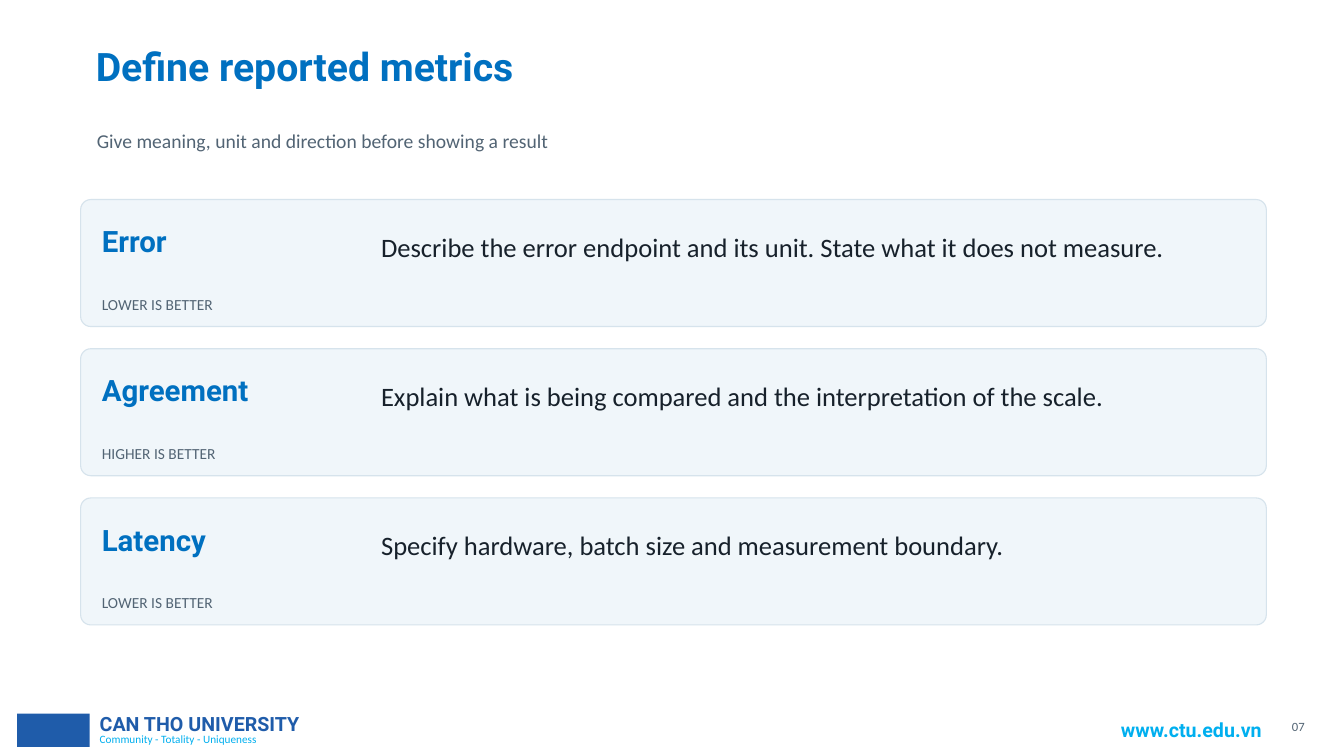
"""Build the slide that defines the reported metrics."""
import pptx
import pptx.dml.color
import pptx.enum.shapes
import pptx.enum.text
import pptx.util

Inches = pptx.util.Inches
ALIGN = pptx.enum.text.PP_ALIGN
SHAPES = pptx.enum.shapes.MSO_SHAPE
BLUE, GREY, INK = "0070C0", "526474", "17212B"
NAVY, CYAN = "1F5CAA", "00AFEF"


def color(value):
    return pptx.dml.color.RGBColor.from_string(value)


def add_text(left, top, width, height, text, size, font, fill, bold=False,
             align=ALIGN.LEFT, inset=(0.01, 0.01), spacing=1.13, wrap=True):
    frame = slide.shapes.add_textbox(
        Inches(left), Inches(top), Inches(width), Inches(height)).text_frame
    frame.word_wrap = wrap
    frame.margin_left = frame.margin_right = Inches(inset[0])
    frame.margin_top = frame.margin_bottom = Inches(inset[1])
    paragraph = frame.paragraphs[0]
    paragraph.alignment = align
    paragraph.line_spacing = spacing
    run = paragraph.add_run()
    run.text = text
    run.font.size = pptx.util.Pt(size)
    run.font.name = font
    run.font.bold = bold
    run.font.color.rgb = color(fill)


presentation = pptx.Presentation()
presentation.slide_width = Inches(13.33)
presentation.slide_height = Inches(7.5)
slide = presentation.slides.add_slide(presentation.slide_layouts[6])

footer_block = slide.shapes.add_shape(
    SHAPES.RECTANGLE, Inches(0.17), Inches(7.08), Inches(0.72), Inches(0.33))
footer_block.shadow.inherit = False
footer_block.fill.solid()
footer_block.fill.fore_color.rgb = color(NAVY)
footer_block.line.fill.background()

footer = {"inset": (0.1, 0.05), "spacing": 1.0}
add_text(0.89, 7.22, 2.1, 0.24, "Community - Totality - Uniqueness", 8, "Calibri", CYAN, **footer)
add_text(0.89, 7.01, 3.02, 0.34, "CAN THO UNIVERSITY", 14, "Roboto", NAVY, True, **footer)
add_text(11.02, 7.07, 1.64, 0.34, "www.ctu.edu.vn", 14, "Roboto", CYAN, True, wrap=False, **footer)
add_text(12.65, 7.1, 0.3, 0.2, "07", 9, "Calibri", GREY, align=ALIGN.RIGHT)

add_text(0.94, 0.35, 11.65, 0.82, "Define reported metrics", 28, "Roboto", BLUE, True)
add_text(0.95, 1.24, 11.55, 0.48, "Give meaning, unit and direction before showing a result",
         14, "Calibri", GREY)

metrics = [
    ("Error", "LOWER IS BETTER",
     "Describe the error endpoint and its unit. State what it does not measure."),
    ("Agreement", "HIGHER IS BETTER",
     "Explain what is being compared and the interpretation of the scale."),
    ("Latency", "LOWER IS BETTER",
     "Specify hardware, batch size and measurement boundary."),
]
card_height, card_gap = 1.26, 0.22
for index, (metric, direction, description) in enumerate(metrics):
    top = 1.98 + index * (card_height + card_gap)
    card = slide.shapes.add_shape(
        SHAPES.ROUNDED_RECTANGLE, Inches(0.8), Inches(top), Inches(11.76), Inches(card_height))
    card.adjustments[0] = 0.08
    card.shadow.inherit = False
    card.fill.solid()
    card.fill.fore_color.rgb = color("F0F6FA")
    card.line.color.rgb = color("D6E3EC")
    card.line.width = pptx.util.Pt(0.8)
    add_text(1, top + 0.18, 2.45, 0.72, metric, 21, "Roboto", BLUE, True)
    add_text(1, top + 0.91, 2.45, 0.24, direction, 11, "Calibri", GREY)
    add_text(3.77, top + 0.26, 8.3, 0.84, description, 19, "Calibri", INK)

presentation.save("out.pptx")
